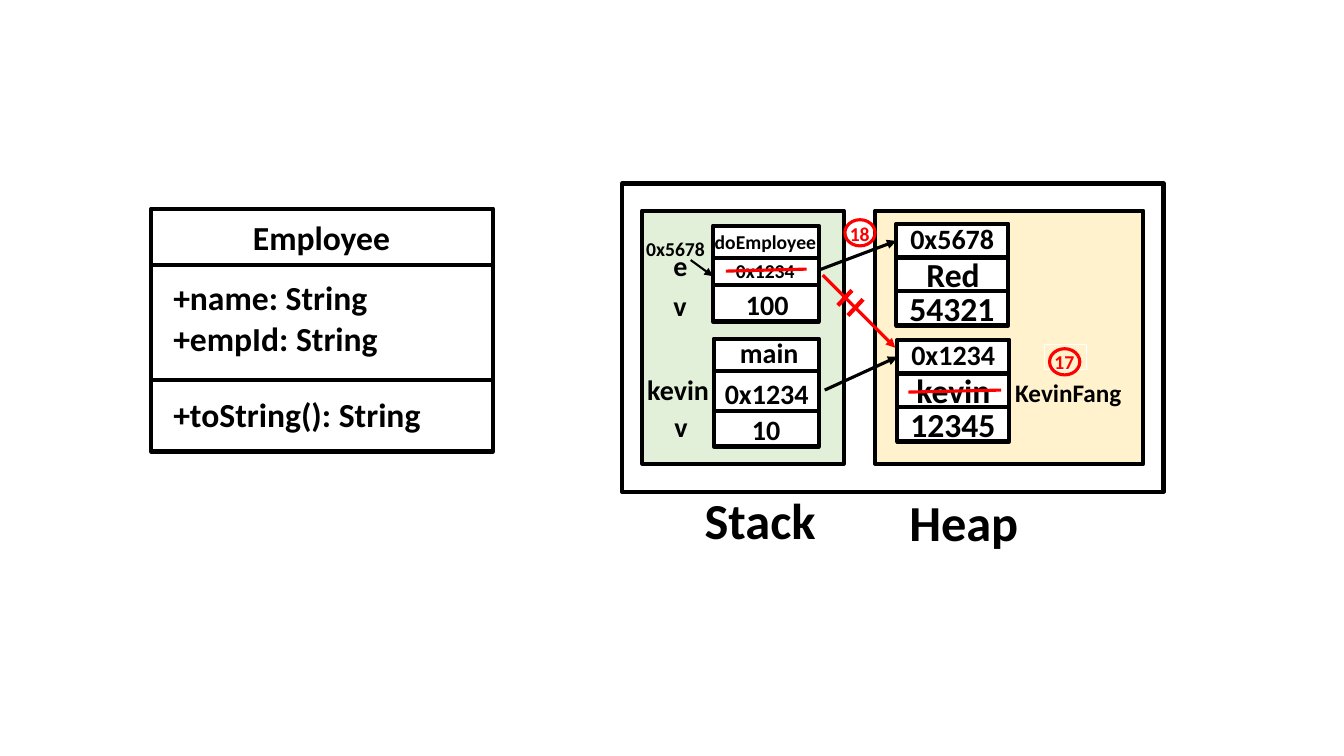
import pptx
import pptx.util
import pptx.dml.color
import pptx.enum.shapes
import pptx.enum.text
import pptx.oxml
import pptx.oxml.ns

Inches = pptx.util.Inches
RGBColor = pptx.dml.color.RGBColor
Shapes = pptx.enum.shapes.MSO_SHAPE
BLACK = RGBColor(0x00, 0x00, 0x00)
WHITE = RGBColor(0xFF, 0xFF, 0xFF)
RED = RGBColor(0xFF, 0x00, 0x00)
STACK_GREEN = RGBColor(0xE2, 0xF0, 0xD9)
HEAP_YELLOW = RGBColor(0xFF, 0xF2, 0xCC)


class MemoryDiagram:
    font = {"name": "Calibri", "bold": True}

    def __init__(self, page):
        self.page = page

    def stroke(self, shape, color, width):
        shape.line.color.rgb = color
        shape.line.width = pptx.util.Pt(width)

    def outline(self, left, top, width, height, fill=None, kind=Shapes.RECTANGLE,
                color=BLACK, weight=3):
        shape = self.page.shapes.add_shape(
            kind, Inches(left), Inches(top), Inches(width), Inches(height))
        shape.shadow.inherit = False
        if fill is None:
            shape.fill.background()
        else:
            shape.fill.solid()
            shape.fill.fore_color.rgb = fill
        self.stroke(shape, color, weight)
        return shape

    def label(self, text, left, top, width, height, size=20, color=BLACK, wrap=False):
        box = self.page.shapes.add_textbox(
            Inches(left), Inches(top), Inches(width), Inches(height))
        frame = box.text_frame
        frame.word_wrap = wrap
        frame.text = text
        for para in frame.paragraphs:
            font = para.runs[0].font
            for name, value in {**self.font, "size": pptx.util.Pt(size)}.items():
                setattr(font, name, value)
            font.color.rgb = color
        return box

    def line(self, start, end, color=BLACK, weight=2.25, arrow=False, target=None):
        link = self.page.shapes.add_connector(
            pptx.enum.shapes.MSO_CONNECTOR.STRAIGHT,
            *(Inches(value) for value in (*start, *end)))
        self.stroke(link, color, weight)
        if target is not None:
            link.end_connect(target, 1)
        if arrow:
            head = pptx.oxml.parse_xml(
                '<a:tailEnd %s type="triangle"/>' % pptx.oxml.ns.nsdecls("a"))
            link.line._get_or_add_ln().append(head)
        link._element.spPr.append(pptx.oxml.parse_xml(
            "<a:effectLst %s/>" % pptx.oxml.ns.nsdecls("a")))

    def cells(self, left, width, rows):
        return [self.outline(left, top, width, height, WHITE) for top, height in rows]

    def badge(self, number, left, top, ring_top, height=0.34):
        box = self.label(number, left, top, 0.42, height, 14, RED, wrap=True)
        self.outline(left + 0.05, ring_top, 0.3, 0.26, kind=Shapes.OVAL,
                     color=RED, weight=2.25)
        return box


def main():
    deck = pptx.Presentation()
    deck.slide_width, deck.slide_height = Inches(13.33), Inches(7.5)
    diagram = MemoryDiagram(deck.slides.add_slide(deck.slide_layouts[6]))

    # Employee class
    diagram.outline(1.5, 2.07, 3.39, 2.41)
    diagram.outline(1.5, 2.63, 3.39, 1.14)
    diagram.label("Employee", 2.41, 2.1, 1.58, 0.5, 24)
    diagram.label("+name: String\n+empId: String", 1.62, 2.7, 2.25, 0.91, 24)
    diagram.label("+toString(): String", 1.62, 3.86, 2.68, 0.5, 24)

    # Memory areas
    diagram.outline(8.68, 2.09, 2.66, 2.51, HEAP_YELLOW)
    diagram.outline(6.37, 2.09, 2, 2.51, STACK_GREEN)
    diagram.outline(6.17, 1.82, 5.37, 3.06)
    diagram.label("Stack", 6.89, 4.8, 1.31, 0.71, 36)
    diagram.label("Heap", 8.92, 4.82, 1.3, 0.71, 36)

    # Heap objects: address, name and number
    addresses = []
    for left, top, address, name, name_left, name_width, number in (
            (8.89, 2.22, "0x5678", "Red", 9.09, 0.74, "54321"),
            (8.9, 3.37, "0x1234", "kevin", 8.99, 0.94, "12345")):
        rows = [(top + 0.335 * index, 0.34) for index in range(3)]
        addresses.append(diagram.cells(left, 1.11, rows)[0])
        diagram.label(address, left + 0.04, top - 0.07, 1.04, 0.44)
        diagram.label(name, name_left, top + 0.25, name_width, 0.5, 24)
        diagram.label(number, left + 0.03, top + 0.59, 1.05, 0.5, 24)
    new_object, old_object = addresses

    # Stack frames
    diagram.cells(7.08, 1.04, [(4.07, 0.36), (3.64, 0.44), (3.36, 0.32)])
    reference = diagram.cells(7.07, 1.05, [(2.52, 0.44), (2.24, 0.32), (2.83, 0.36)])[0]
    for text, left, top, width in (
            ("main", 7.24, 3.28, 0.79), ("0x1234", 7.09, 3.69, 1.04),
            ("10", 7.36, 4.04, 0.59), ("100", 7.3, 2.8, 0.63),
            ("kevin", 6.32, 3.65, 0.82), ("v", 6.59, 4.01, 0.34),
            ("e", 6.58, 2.42, 0.34), ("v", 6.58, 2.81, 0.34)):
        diagram.label(text, left, top, width, 0.44)
    for text, left, top, width in (
            ("doEmployee", 6.99, 2.23, 1.28), ("0x5678", 6.31, 2.3, 0.79),
            ("0x1234", 7.2, 2.52, 0.79)):
        diagram.label(text, left, top, width, 0.34, 14, wrap=True)

    # References to the heap
    diagram.line((8.12, 2.68), (8.89, 2.39), arrow=True, target=new_object)
    diagram.line((8.18, 3.87), (8.9, 3.54), arrow=True, target=old_object)
    diagram.line((6.85, 2.58), (7.07, 2.74), weight=1.5, arrow=True, target=reference)

    # Broken reference and replaced values
    diagram.line((8.16, 2.73), (8.88, 3.45), RED, arrow=True)
    diagram.line((8.56, 2.97), (8.41, 3.13), RED, 3)
    diagram.line((8.45, 2.88), (8.31, 3.03), RED, 3)
    diagram.line((9.93, 3.87), (9.01, 3.89), RED)
    diagram.line((8, 2.67), (7.2, 2.69), RED)
    diagram.label("KevinFang", 9.97, 3.69, 1.26, 0.4, 18)

    # Step numbers
    step = diagram.badge("17", 10.36, 3.42, 3.46, height=0.25)
    diagram.stroke(step, WHITE, 0.75)
    diagram.badge("18", 8.33, 2.15, 2.18)

    deck.save("out.pptx")


if __name__ == "__main__":
    main()
